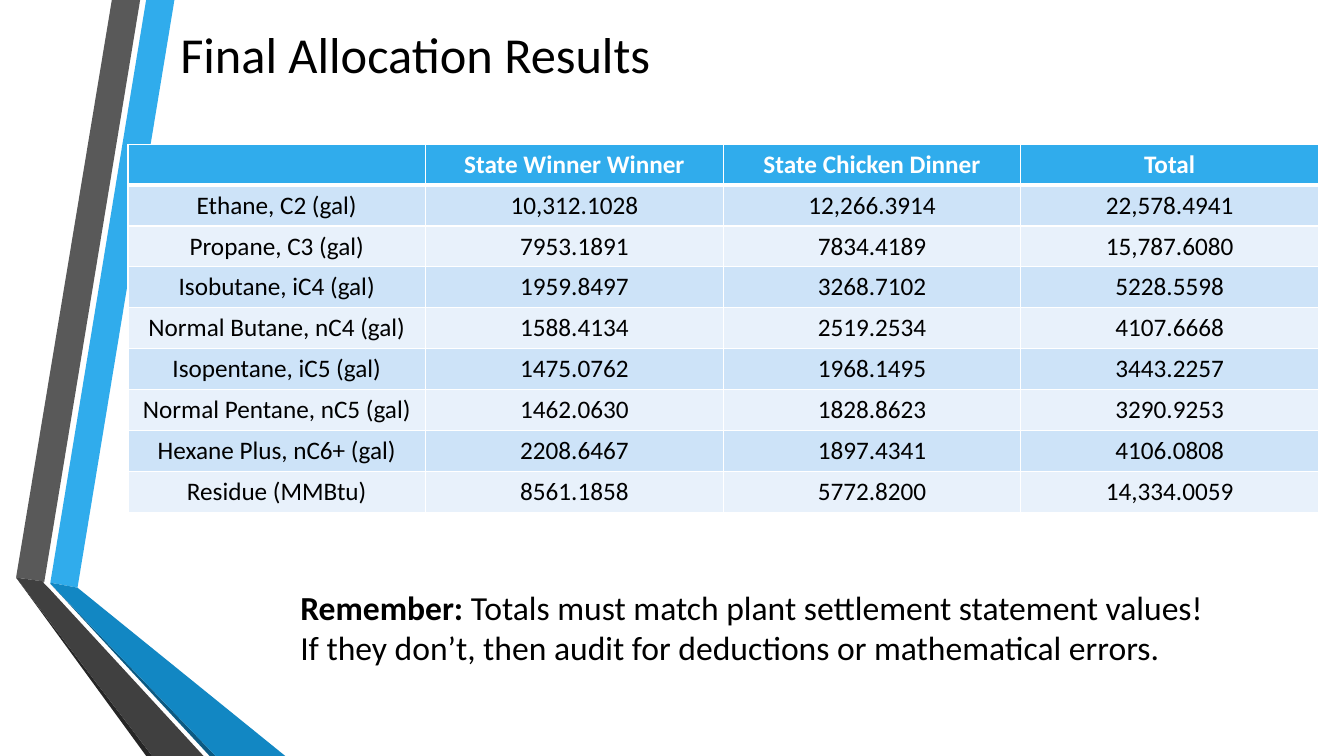
from lxml import etree
from pptx import Presentation
from pptx.dml.color import RGBColor
from pptx.enum.text import MSO_ANCHOR, PP_ALIGN
from pptx.oxml.ns import qn
from pptx.util import Pt

CENTER = PP_ALIGN.CENTER
MIDDLE = MSO_ANCHOR.MIDDLE
FONT = "Calibri"
BLACK = RGBColor(0x00, 0x00, 0x00)
WHITE = RGBColor(0xFF, 0xFF, 0xFF)
SKY = RGBColor(0x30, 0xAC, 0xEC)
BLUE = RGBColor(0x12, 0x87, 0xC3)
NAVY = RGBColor(0x0C, 0x5A, 0x82)
GRAY = RGBColor(0x59, 0x59, 0x59)
CHARCOAL = RGBColor(0x40, 0x40, 0x40)
SOOT = RGBColor(0x26, 0x26, 0x26)
BAND_DARK = RGBColor(0xCD, 0xE3, 0xF8)
BAND_LIGHT = RGBColor(0xE8, 0xF1, 0xFB)


def add_span(para, text, size, color=BLACK, bold=False):
    span = para.add_run()
    span.text = text
    span.font.name = FONT
    span.font.size = Pt(size)
    span.font.bold = bold
    span.font.color.rgb = color


def add_box(left, top, width, height):
    box = page.shapes.add_textbox(Pt(left), Pt(top), Pt(width), Pt(height))
    box.text_frame.word_wrap = True
    return box.text_frame.paragraphs[0]


deck = Presentation()
deck.slide_width = Pt(960)
deck.slide_height = Pt(540)
page = deck.slides.add_slide(deck.slide_layouts[6])

ribbons = [
    (SKY, [(36, 416.2), (55.4, 419.8), (124.6, 0), (104.4, 0)]),
    (GRAY, [(100.1, 0), (79.9, 0), (11.5, 412.6), (31.7, 415.4)]),
    (SOOT, [(11.5, 412.6), (104.4, 540), (108.7, 540)]),
    (NAVY, [(36, 416.9), (149.8, 540), (154.1, 540)]),
    (BLUE, [(36, 416.2), (36, 416.9), (154.1, 540), (203.8, 540), (55.4, 419.8)]),
    (CHARCOAL, [(145.4, 540), (34.6, 419.8), (31, 416.2), (31.7, 415.4),
                (11.5, 412.6), (108.7, 540)]),
]
for color, corners in ribbons:
    points = [(Pt(x), Pt(y)) for x, y in corners]
    outline = page.shapes.build_freeform(*points[0])
    outline.add_line_segments(points[1:], close=True)
    ribbon = outline.convert_to_shape()
    ribbon.shadow.inherit = False
    ribbon.fill.solid()
    ribbon.fill.fore_color.rgb = color
    ribbon.line.fill.background()

add_span(add_box(121.7, 13, 747.4, 51.1), "Final Allocation Results", 36)

rows = [
    ("", "State Winner Winner", "State Chicken Dinner", "Total"),
    ("Ethane, C2 (gal)", "10,312.1028", "12,266.3914", "22,578.4941"),
    ("Propane, C3 (gal)", "7953.1891", "7834.4189", "15,787.6080"),
    ("Isobutane, iC4 (gal)", "1959.8497", "3268.7102", "5228.5598"),
    ("Normal Butane, nC4 (gal)", "1588.4134", "2519.2534", "4107.6668"),
    ("Isopentane, iC5 (gal)", "1475.0762", "1968.1495", "3443.2257"),
    ("Normal Pentane, nC5 (gal)", "1462.0630", "1828.8623", "3290.9253"),
    ("Hexane Plus, nC6+ (gal)", "2208.6467", "1897.4341", "4106.0808"),
    ("Residue (MMBtu)", "8561.1858", "5772.8200", "14,334.0059"),
]
results = page.shapes.add_table(
    len(rows), 4, Pt(91.4), Pt(103), Pt(850.4), Pt(262.8)).table
for column in results.columns:
    column.width = Pt(212.6)
for row_index, row in enumerate(rows):
    results.rows[row_index].height = Pt(29.2)
    header = row_index == 0
    band = SKY if header else BAND_DARK if row_index % 2 else BAND_LIGHT
    widths = {
        "a:lnL": 1,
        "a:lnR": 1,
        "a:lnT": 3 if row_index == 1 else 1,
        "a:lnB": 3 if header else 1,
    }
    for column_index, text in enumerate(row):
        cell = results.cell(row_index, column_index)
        cell.vertical_anchor = MIDDLE
        cell.fill.solid()
        cell.fill.fore_color.rgb = band
        for position, (edge, width) in enumerate(widths.items()):
            border = etree.Element(qn(edge), w=str(Pt(width)))
            paint = etree.SubElement(border, qn("a:solidFill"))
            etree.SubElement(paint, qn("a:srgbClr"), val=str(WHITE))
            cell._tc.get_or_add_tcPr().insert(position, border)
        para = cell.text_frame.paragraphs[0]
        para.alignment = CENTER
        if text:
            add_span(para, text, 18, WHITE if header else BLACK, header)

reminder = add_box(207.4, 415.4, 679.7, 65.5)
add_span(reminder, "Remember:", 24, bold=True)
add_span(reminder, " Totals must match plant settlement statement values!", 24)
reminder.add_line_break()
add_span(reminder, "If they don’t, then audit for deductions or mathematical errors.", 24)

deck.save("out.pptx")
